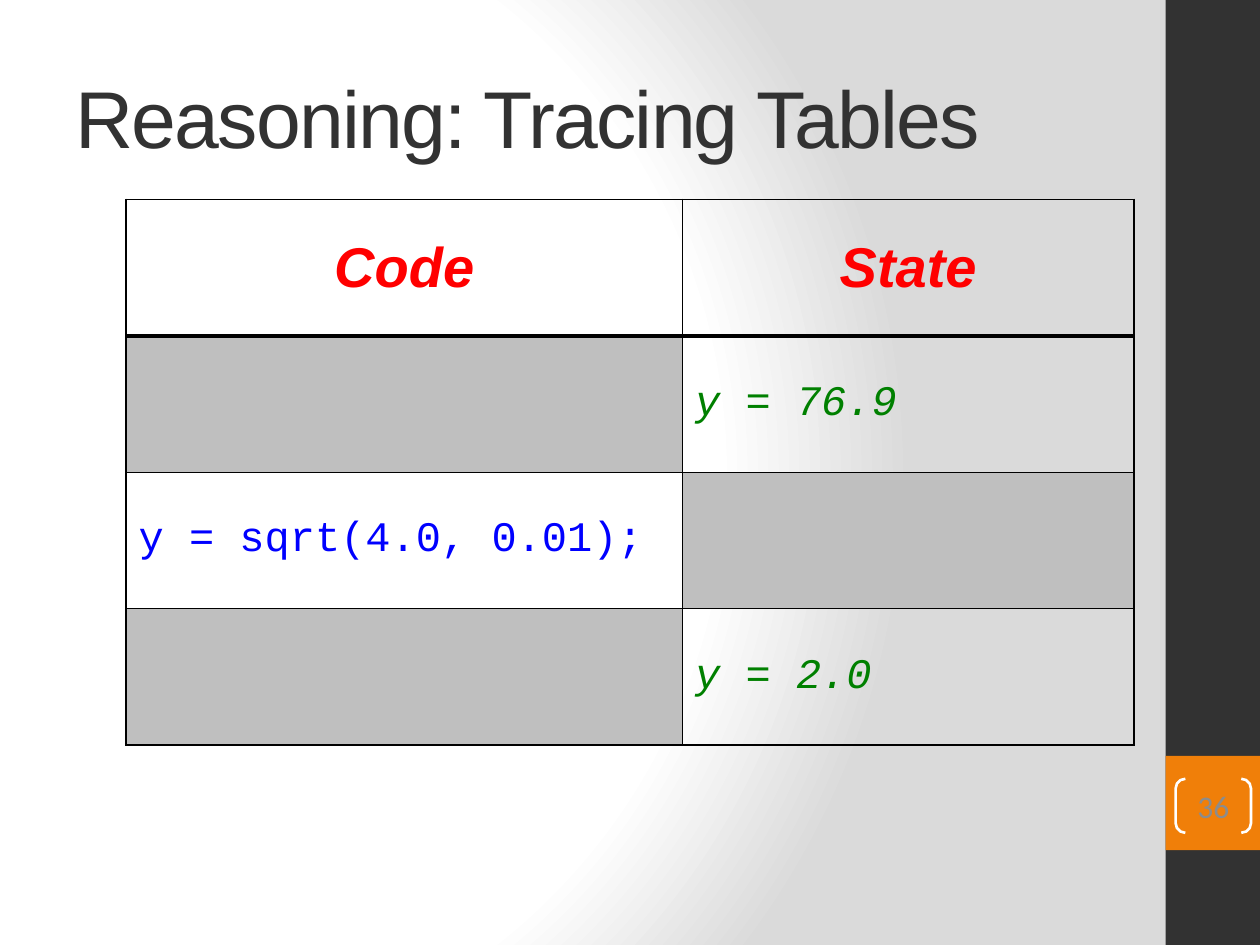
from pptx import Presentation
from pptx.dml.color import RGBColor
from pptx.enum.shapes import MSO_SHAPE
from pptx.enum.text import MSO_ANCHOR, PP_ALIGN
from pptx.oxml import parse_xml
from pptx.oxml.ns import nsdecls
from pptx.util import Cm, Pt

RECT = MSO_SHAPE.RECTANGLE
BRACKETS = MSO_SHAPE.DOUBLE_BRACKET
MIDDLE = MSO_ANCHOR.MIDDLE
LEFT, CENTER = PP_ALIGN.LEFT, PP_ALIGN.CENTER

COLORS = {
    "white": "FFFFFF", "backdrop": "DADADA", "dark": "323232",
    "accent": "F07F09", "number": "8C8C8C", "black": "000000",
    "header": "FF0000", "state": "008000", "code": "0000FF", "blank": "BFBFBF",
}
HEADER = dict(size=32, font="Arial", color="header", bold=True, italic=True, align=CENTER)
STATE = dict(size=24, font="Courier New", color="state", italic=True)
CODE = dict(size=24, font="Courier New", color="code")
ROWS = [
    [("Code", HEADER), ("State", HEADER)],
    [None, ("y = 76.9", STATE)],
    [("y = sqrt(4.0, 0.01);", CODE), None],
    [None, ("y = 2.0", STATE)],
]


def rgb(name):
    return RGBColor.from_string(COLORS[name])


def write(tf, text, size, font, color, bold=False, italic=False, align=LEFT, spacing=0):
    p = tf.paragraphs[0]
    p.alignment = align
    r = p.add_run()
    r.text = text
    r.font.size = Pt(size)
    r.font.name = font
    r.font.color.rgb = rgb(color)
    r.font.bold = bold
    r.font.italic = italic
    if spacing:
        r.font._element.set("spc", str(spacing * 100))


def add_backdrop(s):
    fill = s.background.fill
    fill.solid()
    solid = s.background._cSld.bg.bgPr[0]
    stops = "".join(
        f'<a:gs pos="{pos * 1000}"><a:srgbClr val="{COLORS[name]}"/></a:gs>'
        for pos, name in ((0, "white"), (75, "white"), (100, "backdrop"))
    )
    grad = parse_xml(
        f'<a:gradFill {nsdecls("a")} rotWithShape="1"><a:gsLst>{stops}</a:gsLst>'
        '<a:path path="circle"><a:fillToRect l="20000" t="50000" r="100000" b="50000"/>'
        "</a:path></a:gradFill>"
    )
    solid.getparent().replace(solid, grad)


def add_block(s, x, y, w, h, color):
    sp = s.shapes.add_shape(RECT, Cm(x), Cm(y), Cm(w), Cm(h))
    sp.shadow.inherit = False
    sp.fill.solid()
    sp.fill.fore_color.rgb = rgb(color)
    sp.line.fill.background()


def add_sidebar(s, x, y, w, h):
    add_block(s, x, y, w, h, "dark")
    badge_y = y + 0.8 * h
    add_block(s, x, badge_y, w, w, "accent")
    sp = s.shapes.add_shape(BRACKETS, Cm(x + 0.2), Cm(badge_y + 0.46), Cm(w - 0.38), Cm(1.09))
    sp.adjustments[0] = 0.18
    sp.shadow.inherit = False
    sp.fill.background()
    sp.line.color.rgb = rgb("white")
    sp.line.width = Pt(1.5)
    tf = sp.text_frame
    tf.margin_left = tf.margin_right = tf.margin_top = tf.margin_bottom = 0
    tf.vertical_anchor = MIDDLE
    write(tf, "36", 18, "Calibri", "number", align=CENTER)


def add_title(s, x, y, w, h):
    tf = s.shapes.add_textbox(Cm(x), Cm(y), Cm(w), Cm(h)).text_frame
    tf.word_wrap = True
    tf.vertical_anchor = MIDDLE
    write(tf, "Reasoning: Tracing Tables", 46, "Arial", "dark", spacing=-1)


def set_borders(cell, widths):
    tcPr = cell._tc.get_or_add_tcPr()
    for i, (side, width) in enumerate(widths.items()):
        tcPr.insert(i, parse_xml(
            f'<a:ln{side} {nsdecls("a")} w="{Pt(width)}"><a:solidFill>'
            f'<a:srgbClr val="{COLORS["black"]}"/></a:solidFill></a:ln{side}>'
        ))


def add_trace_table(s, x, y, w, h):
    table = s.shapes.add_table(len(ROWS), 2, Cm(x), Cm(y), Cm(w), Cm(h)).table
    table.first_row = table.horz_banding = False
    code_w = 11.22
    for col, width in zip(table.columns, (code_w, w - code_w)):
        col.width = Cm(width)
    for i, row in enumerate(ROWS):
        table.rows[i].height = Cm(h / len(ROWS))
        for j, entry in enumerate(row):
            cell = table.cell(i, j)
            cell.vertical_anchor = MIDDLE
            if entry:
                text, style = entry
                cell.fill.background()
                write(cell.text_frame, text, **style)
            else:
                cell.fill.solid()
                cell.fill.fore_color.rgb = rgb("blank")
            set_borders(cell, {"L": 1, "R": 1, "T": 3 if i == 1 else 1, "B": 3 if i == 0 else 1})


def main():
    prs = Presentation()
    prs.slide_width, prs.slide_height = Cm(25.4), Cm(19.05)
    s = prs.slides.add_slide(prs.slide_layouts[6])
    add_backdrop(s)
    add_sidebar(s, 23.5, 0, 1.9, 19.05)
    add_title(s, 1.27, 0.76, 21.16, 3.18)
    add_trace_table(s, 2.54, 4.02, 20.32, 11)
    prs.save("out.pptx")


if __name__ == "__main__":
    main()
